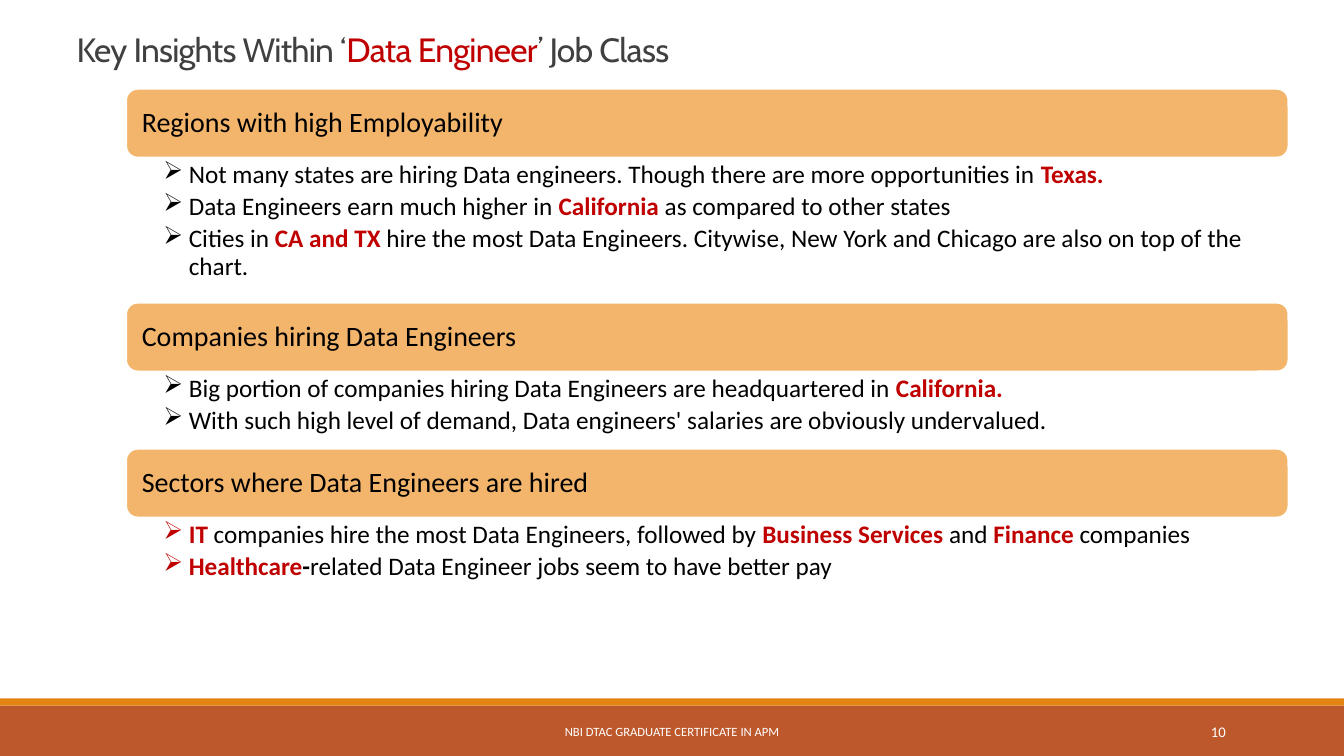
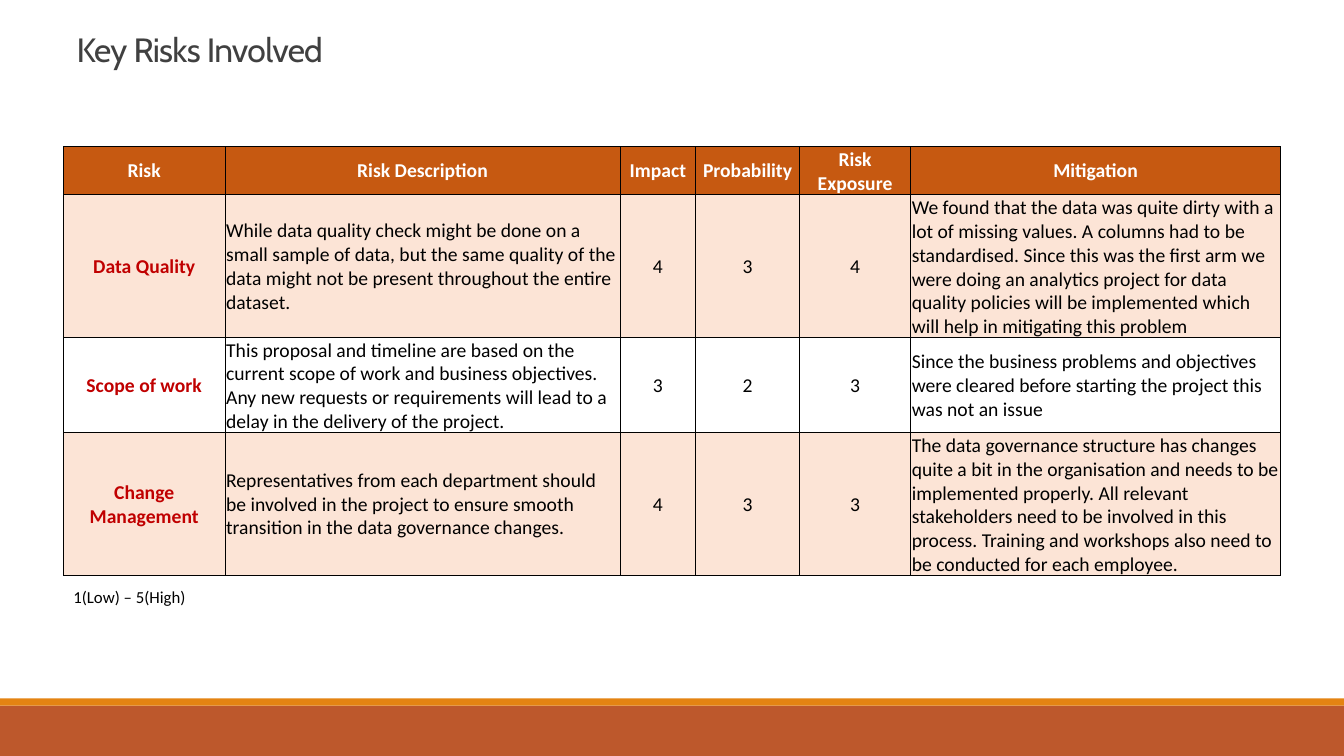
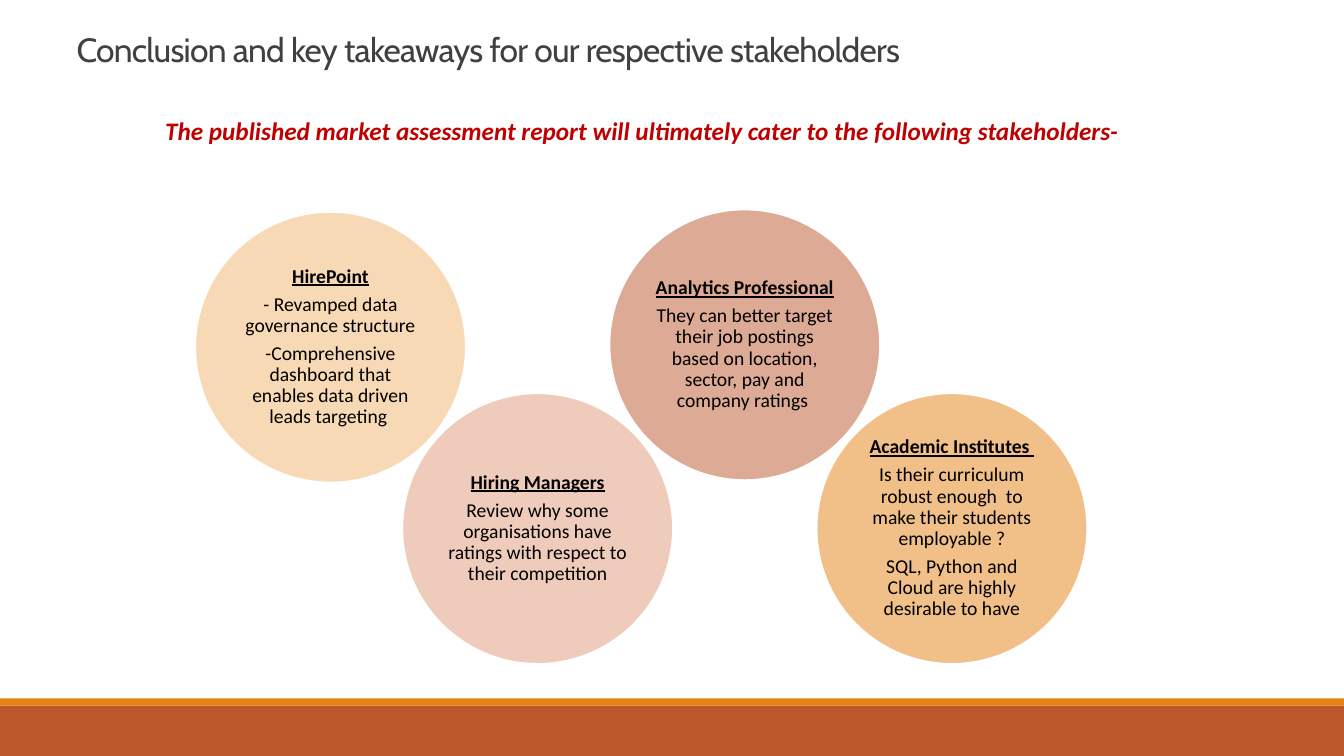
"""Build three slides on data engineer jobs: insights, risks and stakeholders."""
from lxml import etree
from pptx import Presentation
from pptx import util as u
from pptx.dml import color as dml
from pptx.enum import shapes, text
from pptx.oxml import ns

RUST, ORANGE, SAND, ROSE = "BD582C", "E48312", "F3B56C", "E09878"
RED, BLACK, WHITE, GREY = "C00000", "000000", "FFFFFF", "404040"
HEADER, TINT = "C65911", "FCE4D6"
LEFT, CENTER, RIGHT = text.PP_ALIGN.LEFT, text.PP_ALIGN.CENTER, text.PP_ALIGN.RIGHT
TOP, MIDDLE = text.MSO_ANCHOR.TOP, text.MSO_ANCHOR.MIDDLE
WIDTH, HEIGHT = 33.87, 19.05


def rgb(value):
    """Turn a hex string into a colour."""
    return dml.RGBColor.from_string(value)


def child(parent, tag, **attributes):
    """Append a drawing element to a parent."""
    return etree.SubElement(parent, ns.qn(tag), attributes)


def hot(words):
    """Mark words as bold red."""
    return words, {"color": RED, "bold": True}


def style_run(run, size=18, color=BLACK, font="Calibri", bold=False,
              italic=False, underline=False, tracking=None):
    """Format the characters of one run."""
    run.font.size, run.font.name = u.Pt(size), font
    run.font.bold, run.font.italic, run.font.underline = bold, italic, underline
    run.font.color.rgb = rgb(color)
    if tracking:
        run.font._element.set("spc", str(tracking))


def write(frame, paragraphs, align=LEFT, spacing=1.0, after=0, bullet=None, **look):
    """Write paragraphs, each a string or a list of strings and (words, look) pairs."""
    for i, content in enumerate(paragraphs):
        paragraph = frame.add_paragraph() if i else frame.paragraphs[0]
        paragraph.alignment, paragraph.line_spacing = align, spacing
        paragraph.space_after = u.Pt(after)
        if bullet:
            properties = paragraph._p.get_or_add_pPr()
            properties.set("marL", str(u.Cm(0.64)))
            properties.set("indent", str(-u.Cm(0.64)))
            child(properties, "a:buChar", char=bullet)
        for part in [content] if isinstance(content, str) else content:
            words, extra = (part, {}) if isinstance(part, str) else part
            for j, line in enumerate(words.split("\n")):
                if j:
                    paragraph.add_line_break()
                run = paragraph.add_run()
                run.text = line
                style_run(run, **{**look, **extra})


def set_frame(frame, anchor, insets):
    """Wrap a text frame and set its anchor and left, top, right, bottom insets."""
    frame.word_wrap, frame.vertical_anchor = True, anchor
    (frame.margin_left, frame.margin_top,
     frame.margin_right, frame.margin_bottom) = map(u.Cm, insets)


def add_text(slide, box, paragraphs, anchor=TOP, insets=(0.25, 0.13, 0.25, 0.13), **look):
    """Add a text box."""
    frame = slide.shapes.add_textbox(*map(u.Cm, box)).text_frame
    set_frame(frame, anchor, insets)
    write(frame, paragraphs, **look)


def add_block(slide, kind, box, fill, outline=None, alpha=None):
    """Add a filled preset shape without shadow."""
    block = slide.shapes.add_shape(kind, *map(u.Cm, box))
    block.shadow.inherit = False
    block.fill.solid()
    block.fill.fore_color.rgb = rgb(fill)
    if alpha:
        tone = block.fill._xPr.find(".//" + ns.qn("a:srgbClr"))
        child(tone, "a:alpha", val=str(alpha * 1000))
    if outline:
        block.line.color.rgb, block.line.width = rgb(outline), u.Pt(1.25)
    else:
        block.line.fill.background()
    return block


def add_page(deck, title):
    """Add a slide with its bands and title."""
    slide = deck.slides.add_slide(deck.slide_layouts[6])
    for top, height, fill in [(17.78, 1.27, RUST), (17.6, 0.18, ORANGE)]:
        add_block(slide, shapes.MSO_SHAPE.RECTANGLE, (0, top, WIDTH, height), fill)
    add_text(slide, (1.68, 0.76, 27.94, 1.68), [title], spacing=0.85,
             size=24, font="Cabin", color=GREY, tracking=-50)
    return slide


def add_footer(slide, label, number):
    """Add the footer label and page number."""
    add_text(slide, (10.24, 17.93, 13.39, 1.02), [label], MIDDLE,
             align=CENTER, size=9, color=WHITE)
    add_text(slide, (27.51, 17.93, 3.63, 1.02), [number], MIDDLE,
             align=RIGHT, size=10.5, color=WHITE)


def add_section(slide, top, heading, points, depth):
    """Add a heading bar with bullets below and return the next top."""
    left, width, bar_height = 3.18, 29.29, 1.73
    bar = add_block(slide, shapes.MSO_SHAPE.ROUNDED_RECTANGLE,
                    (left, top, width, bar_height), SAND, WHITE)
    set_frame(bar.text_frame, MIDDLE, [0.31] * 4)
    write(bar.text_frame, [heading], spacing=0.9, size=20)
    add_text(slide, (left, top + bar_height, width, depth), points,
             insets=(0.94, 0.1, 0.5, 0.1), spacing=0.9, after=3.6, bullet="➢")
    return top + bar_height + depth


def add_bubble(slide, left, top, fill, heading, points):
    """Add a translucent circle with an underlined heading."""
    bubble = add_block(slide, shapes.MSO_SHAPE.OVAL, (left, top, 6.82, 6.82),
                       fill, WHITE, alpha=50)
    set_frame(bubble.text_frame, MIDDLE, [0.15] * 4)
    write(bubble.text_frame, [[(heading, {"bold": True, "underline": True})], *points],
          align=CENTER, spacing=0.9, after=4.9, size=14)


def fill_cell(cell, words, fill, **look):
    """Border, fill and write one table cell."""
    properties = cell._tc.get_or_add_tcPr()
    for side in ("a:lnL", "a:lnR", "a:lnT", "a:lnB"):
        border = child(properties, side, w=str(u.Pt(0.5)))
        child(child(border, "a:solidFill"), "a:srgbClr", val=BLACK)
    cell.fill.solid()
    cell.fill.fore_color.rgb = rgb(fill)
    set_frame(cell.text_frame, MIDDLE, (0.03, 0.03, 0.03, 0))
    cell.vertical_anchor = MIDDLE
    cell.margin_left = cell.margin_top = cell.margin_right = u.Cm(0.03)
    cell.margin_bottom = 0
    write(cell.text_frame, [words], size=14, **look)


def add_risk_table(slide, left, top, widths, heights, rows):
    """Add the risk table with a header row and tinted alternate rows."""
    table = slide.shapes.add_table(len(rows), len(widths), u.Cm(left), u.Cm(top),
                                   u.Cm(sum(widths)), u.Cm(sum(heights))).table
    table.first_row = table.horz_banding = False
    for column, width in zip(table.columns, widths):
        column.width = u.Cm(width)
    for r, (row, height) in enumerate(zip(rows, heights)):
        table.rows[r].height = u.Cm(height)
        fill = HEADER if r == 0 else TINT if r % 2 else WHITE
        for c, words in enumerate(row):
            prose = r > 0 and c in (1, 5)
            color = WHITE if r == 0 else RED if c == 0 else BLACK
            fill_cell(table.cell(r, c), words, fill, color=color,
                      bold=r == 0 or c == 0, align=LEFT if prose else CENTER)


def build_insights(deck):
    """Build the insights slide."""
    slide = add_page(deck, ["Key Insights Within ‘", ("Data Engineer", {"color": RED}),
                            "’ Job Class"])
    add_footer(slide, "NBI DTAC GRADUATE CERTIFICATE IN APM", "10")
    sections = [
        ("Regions with high Employability", 3.66, [
            ["Not many states are hiring Data engineers. Though there are more "
             "opportunities in ", hot("Texas.")],
            ["Data Engineers earn much higher in ", hot("California"),
             " as compared to other states"],
            ["Cities in ", hot("CA and TX "), "hire the most Data Engineers. Citywise, "
             "New York and Chicago are also on top of the chart."]]),
        ("Companies hiring Data Engineers", 1.95, [
            ["Big portion of companies hiring Data Engineers are headquartered in ",
             hot("California.")],
            "With such high level of demand, Data engineers' salaries are obviously "
            "undervalued."]),
        ("Sectors where Data Engineers are hired", 3.66, [
            [hot("IT"), " companies hire the most Data Engineers, followed by ",
             hot("Business Services "), "and ", hot("Finance "), "companies"],
            [hot("Healthcare"), ("-", {"bold": True}),
             "related Data Engineer jobs seem to have better pay"]]),
    ]
    top = 2.24
    for heading, depth, points in sections:
        top = add_section(slide, top, heading, points, depth)


def build_risks(deck):
    """Build the risk slide."""
    slide = add_page(deck, "Key Risks Involved")
    rows = [
        ("Risk", "Risk Description", "Impact", "Probability", "Risk\nExposure", "Mitigation"),
        ("Data Quality",
         "While data quality check might be done on a small sample of data, but the same "
         "quality of the data might not be present throughout the entire dataset.",
         "4", "3", "4",
         "We found that the data was quite dirty with a lot of missing values. A columns "
         "had to be standardised. Since this was the first arm we were doing an analytics "
         "project for data quality policies will be implemented which will help in "
         "mitigating this problem"),
        ("Scope of work",
         "This proposal and timeline are based on the current scope of work and business "
         "objectives. Any new requests or requirements will lead to a delay in the "
         "delivery of the project.",
         "3", "2", "3",
         "Since the business problems and objectives were cleared before starting the "
         "project this was not an issue"),
        ("Change Management",
         "Representatives from each department should be involved in the project to "
         "ensure smooth transition in the data governance changes.",
         "4", "3", "3",
         "The data governance structure has changes quite a bit in the organisation and "
         "needs to be implemented properly. All relevant stakeholders need to be involved "
         "in this process. Training and workshops also need to be conducted for each "
         "employee."),
    ]
    add_risk_table(slide, 1.6, 3.69, (4.07, 9.96, 1.9, 2.62, 2.8, 9.32),
                   (1.07, 3.43, 2.29, 3.43), rows)
    add_text(slide, (1.6, 14.66, 6.65, 0.76), ["1(Low) – 5(High)"], size=12)


def build_stakeholders(deck):
    """Build the stakeholder slide."""
    slide = add_page(deck, "Conclusion and key takeaways for our respective stakeholders")
    stakeholders = [
        (5.34, SAND, "HirePoint", [
            "- Revamped data governance structure",
            "-Comprehensive dashboard that enables data driven leads targeting "]),
        (9.91, ROSE, "Hiring Managers", [
            "Review why some organisations have ratings with respect to their competition"]),
        (5.28, RUST, "Analytics Professional", [
            "They can better target their job postings based on location, sector, pay and "
            "company ratings "]),
        (9.91, ORANGE, "Academic Institutes ", [
            "Is their curriculum robust enough  to make their students employable ?",
            "SQL, Python and Cloud are highly desirable to have"]),
    ]
    for i, (top, fill, heading, points) in enumerate(stakeholders):
        add_bubble(slide, 4.92 + 5.22 * i, top, fill, heading, points)
    add_text(slide, (2.31, 2.44, 27.74, 1.68),
             ["The published market assessment report will ultimately cater to the "
              "following stakeholders-"],
             MIDDLE, align=CENTER, color=RED, bold=True, italic=True)


def main():
    """Build and save the deck."""
    deck = Presentation()
    deck.slide_width, deck.slide_height = u.Cm(WIDTH), u.Cm(HEIGHT)
    build_insights(deck)
    build_risks(deck)
    build_stakeholders(deck)
    deck.save("out.pptx")


if __name__ == "__main__":
    main()
